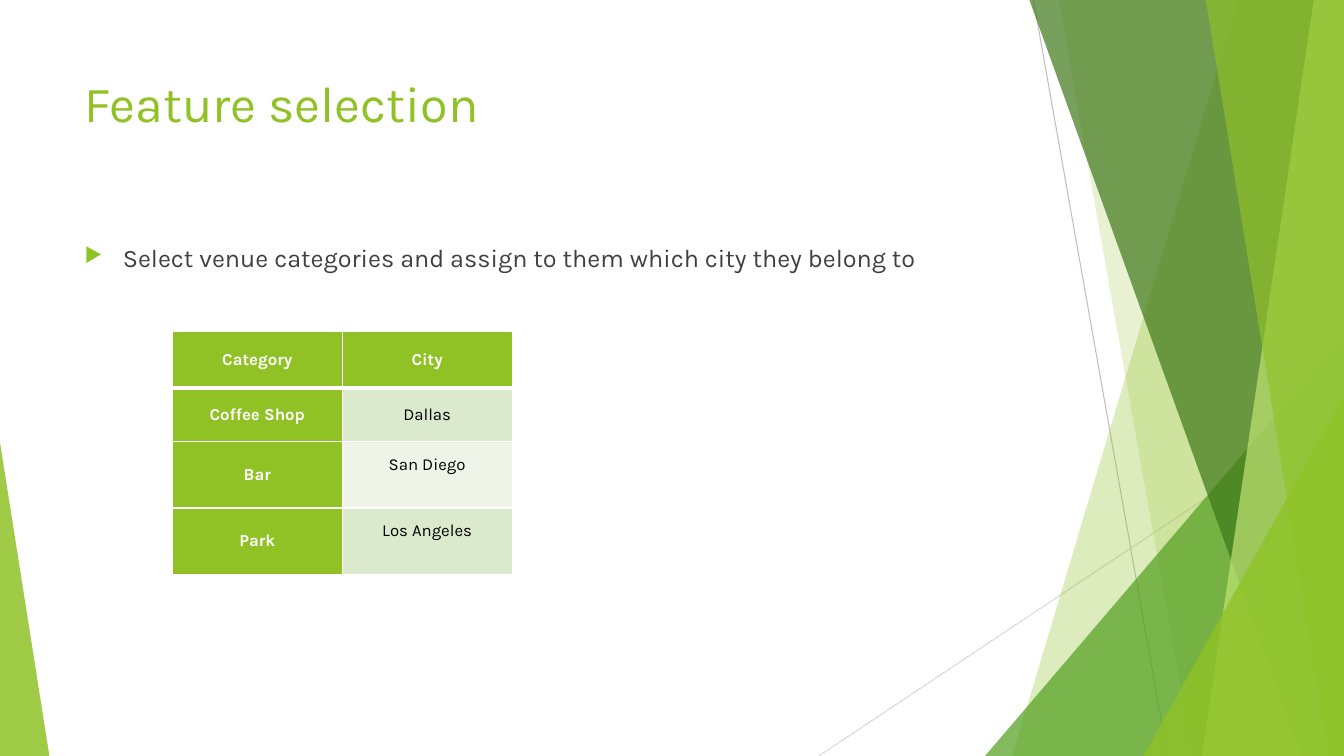
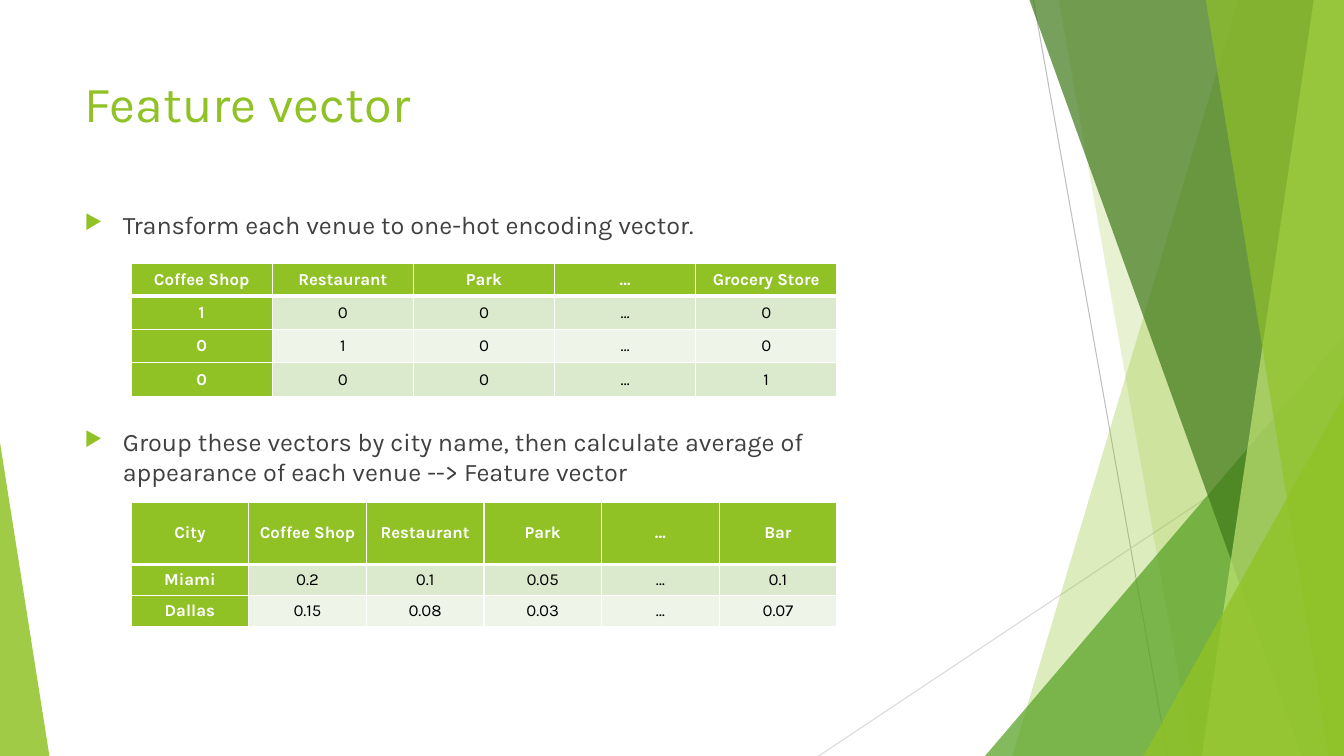
from dataclasses import dataclass

import lxml.etree
import pptx
import pptx.dml.color
import pptx.enum.shapes
import pptx.enum.text
import pptx.oxml.ns
import pptx.presentation
import pptx.shapes.autoshape
import pptx.slide
import pptx.table
import pptx.text.text
import pptx.util

Inches = pptx.util.Inches
Pt = pptx.util.Pt
qn = pptx.oxml.ns.qn

# Shared look
FONT = "Karla"
LIME = "90C226"
WHITE = "FFFFFF"
BLACK = "000000"
BODY_GREY = "404040"
ROW_TINTS = ("DBE9CD", "EEF4E8")
WIDTH, HEIGHT = 13.33, 7.5
TEXT_LEFT, TEXT_WIDTH = 0.74, 9.4
BULLET_INDENT = 0.38
LINE_OF_TABLE_TEXT = 0.2


@dataclass(frozen=True)
class Ray:
    start: tuple[float, float]
    end: tuple[float, float]
    color: str


@dataclass(frozen=True)
class Pane:
    """Four-sided band between the top and bottom edges of the slide."""
    top_left: float
    bottom_left: float
    bottom_right: float
    color: str
    opacity: int


@dataclass(frozen=True)
class Wedge:
    """Right-angled triangle standing on the bottom edge."""
    left: float
    top: float
    width: float
    apex: float
    color: str
    opacity: int


@dataclass(frozen=True)
class Bullet:
    text: str
    top: float
    width: float
    height: float


@dataclass(frozen=True)
class Grid:
    left: float
    top: float
    width: float
    row_heights: tuple[float, ...]
    rows: tuple[tuple[str, ...], ...]
    raised: tuple[str, ...] = ()  # entries set one half line above the middle


@dataclass(frozen=True)
class Page:
    title: str
    bullets: tuple[Bullet, ...]
    grids: tuple[Grid, ...]


# Decoration, from back to front
DECORATION = (
    Ray((10.25, 0), (11.58, HEIGHT), "BFBFBF"),
    Ray((WIDTH, 4.03), (8.12, HEIGHT), "D9D9D9"),
    Pane(12.28, 10.04, WIDTH, LIME, 30),
    Pane(10.5, 11.83, WIDTH, LIME, 20),
    Wedge(9.77, 3.33, 3.56, 1, "54A021", 72),
    Pane(10.21, 12.91, WIDTH, "3F7819", 70),
    Pane(13.03, 11.92, WIDTH, "C0E474", 70),
    Pane(11.96, 13.18, WIDTH, LIME, 65),
    Wedge(11.34, 3.93, 1.99, 1, LIME, 80),
    Wedge(0, 4.39, 0.49, 0, LIME, 85),
)

# Content
PAGES = (
    Page(
        "Feature selection",
        (Bullet("Select venue categories and assign to them which city they belong to",
                2.36, TEXT_WIDTH, 4.24),),
        (Grid(1.71, 3.29, 3.37, (0.56, 0.53, 0.66, 0.66), (
            ("Category", "City"),
            ("Coffee Shop", "Dallas"),
            ("Bar", "San Diego"),
            ("Park", "Los Angeles"),
        ), raised=("San Diego", "Los Angeles")),),
    ),
    Page(
        "Feature vector",
        (Bullet("Transform each venue to one-hot encoding vector.",
                2.03, TEXT_WIDTH, 1.98),
         Bullet("Group these vectors by city name, then calculate average of "
                "appearance of each venue --> Feature vector",
                4.18, 7.39, 2.76)),
        (Grid(1.3, 2.61, 7, (0.33,) * 4, (
            ("Coffee Shop", "Restaurant", "Park", "…", "Grocery Store"),
            ("1", "0", "0", "…", "0"),
            ("0", "1", "0", "…", "0"),
            ("0", "0", "0", "…", "1"),
        )),
         Grid(1.3, 4.98, 7, (0.62, 0.31, 0.31), (
             ("City", "Coffee Shop", "Restaurant", "Park", "…", "Bar"),
             ("Miami", "0.2", "0.1", "0.05", "…", "0.1"),
             ("Dallas", "0.15", "0.08", "0.03", "…", "0.07"),
         ))),
    ),
)


def rgb(color: str) -> pptx.dml.color.RGBColor:
    return pptx.dml.color.RGBColor.from_string(color)


def add_run(paragraph: pptx.text.text._Paragraph, text: str, size: float,
            color: str, bold: bool = False) -> None:
    run = paragraph.add_run()
    run.text = text
    run.font.name = FONT
    run.font.size = Pt(size)
    run.font.bold = bold
    run.font.color.rgb = rgb(color)


# Decoration
def paint(shape: pptx.shapes.autoshape.Shape, color: str, opacity: int) -> None:
    shape.shadow.inherit = False
    shape.fill.solid()
    shape.fill.fore_color.rgb = rgb(color)
    shape.line.fill.background()
    tone = shape.element.spPr.find(qn("a:solidFill")).find(qn("a:srgbClr"))
    lxml.etree.SubElement(tone, qn("a:alpha"), val=str(opacity * 1000))


def draw_ray(slide: pptx.slide.Slide, ray: Ray) -> None:
    ends = [Inches(value) for value in (*ray.start, *ray.end)]
    line = slide.shapes.add_connector(
        pptx.enum.shapes.MSO_CONNECTOR.STRAIGHT, *ends)
    line.line.color.rgb = rgb(ray.color)
    line.line.width = Pt(0.75)
    lxml.etree.SubElement(line.element.spPr, qn("a:effectLst"))


def draw_pane(slide: pptx.slide.Slide, pane: Pane) -> None:
    outline = slide.shapes.build_freeform(Inches(pane.top_left), 0)
    outline.add_line_segments([
        (Inches(WIDTH), 0),
        (Inches(WIDTH), Inches(HEIGHT)) if pane.bottom_right == WIDTH
        else (Inches(pane.bottom_right), Inches(HEIGHT)),
        (Inches(pane.bottom_left), Inches(HEIGHT)),
    ], close=True)
    paint(outline.convert_to_shape(), pane.color, pane.opacity)


def draw_wedge(slide: pptx.slide.Slide, wedge: Wedge) -> None:
    triangle = slide.shapes.add_shape(
        pptx.enum.shapes.MSO_SHAPE.ISOSCELES_TRIANGLE,
        Inches(wedge.left), Inches(wedge.top),
        Inches(wedge.width), Inches(HEIGHT - wedge.top))
    triangle.adjustments[0] = wedge.apex
    paint(triangle, wedge.color, wedge.opacity)


def draw_decoration(slide: pptx.slide.Slide) -> None:
    painters = {Ray: draw_ray, Pane: draw_pane, Wedge: draw_wedge}
    for part in DECORATION:
        painters[type(part)](slide, part)


# Title and bullets
def add_paragraph_box(slide: pptx.slide.Slide, top: float, width: float,
                      height: float) -> pptx.text.text._Paragraph:
    box = slide.shapes.add_textbox(
        Inches(TEXT_LEFT), Inches(top), Inches(width), Inches(height))
    box.text_frame.word_wrap = True
    return box.text_frame.paragraphs[0]


def draw_title(slide: pptx.slide.Slide, title: str) -> None:
    add_run(add_paragraph_box(slide, 0.67, TEXT_WIDTH, 1.44), title, 36, LIME)


def draw_bullet(slide: pptx.slide.Slide, bullet: Bullet) -> None:
    paragraph = add_paragraph_box(slide, bullet.top, bullet.width, bullet.height)
    paragraph.space_before = Pt(10)
    add_run(paragraph, bullet.text, 18, BODY_GREY)
    properties = paragraph._p.get_or_add_pPr()
    properties.set("marL", str(Inches(BULLET_INDENT)))
    properties.set("indent", str(-Inches(BULLET_INDENT)))
    marker_color = lxml.etree.SubElement(properties, qn("a:buClr"))
    lxml.etree.SubElement(marker_color, qn("a:srgbClr"), val=LIME)
    lxml.etree.SubElement(properties, qn("a:buSzPct"), val="80000")
    lxml.etree.SubElement(properties, qn("a:buChar"), char="▶")


# Tables
def set_borders(cell: pptx.table._Cell, row: int) -> None:
    properties = cell._tc.get_or_add_tcPr()
    widths = {"L": 1, "R": 1, "T": 3 if row == 1 else 1, "B": 3 if row == 0 else 1}
    for side, width in widths.items():
        border = lxml.etree.SubElement(
            properties, qn(f"a:ln{side}"), w=str(Pt(width)))
        fill = lxml.etree.SubElement(border, qn("a:solidFill"))
        lxml.etree.SubElement(fill, qn("a:srgbClr"), val=WHITE)


def draw_grid(slide: pptx.slide.Slide, grid: Grid) -> None:
    column_count = len(grid.rows[0])
    table = slide.shapes.add_table(
        len(grid.rows), column_count, Inches(grid.left), Inches(grid.top),
        Inches(grid.width), Inches(sum(grid.row_heights))).table
    for column in table.columns:
        column.width = Inches(grid.width / column_count)
    for r, (height, entries) in enumerate(zip(grid.row_heights, grid.rows)):
        table.rows[r].height = Inches(height)
        for c, entry in enumerate(entries):
            heading = r == 0 or c == 0
            cell = table.cell(r, c)
            set_borders(cell, r)
            cell.fill.solid()
            cell.fill.fore_color.rgb = rgb(LIME if heading else ROW_TINTS[(r - 1) % 2])
            cell.vertical_anchor = pptx.enum.text.MSO_ANCHOR.MIDDLE
            cell.margin_left = cell.margin_right = Inches(0.07)
            cell.margin_top = 0
            cell.margin_bottom = Inches(
                LINE_OF_TABLE_TEXT if entry in grid.raised else 0)
            paragraph = cell.text_frame.paragraphs[0]
            paragraph.alignment = pptx.enum.text.PP_ALIGN.CENTER
            add_run(paragraph, entry, 12, WHITE if heading else BLACK, heading)


def draw_page(deck: pptx.presentation.Presentation, page: Page) -> None:
    slide = deck.slides.add_slide(deck.slide_layouts[6])
    draw_decoration(slide)
    draw_title(slide, page.title)
    for bullet in page.bullets:
        draw_bullet(slide, bullet)
    for grid in page.grids:
        draw_grid(slide, grid)


def main() -> None:
    deck = pptx.Presentation()
    deck.slide_width = Inches(WIDTH)
    deck.slide_height = Inches(HEIGHT)
    for page in PAGES:
        draw_page(deck, page)
    deck.save("out.pptx")


if __name__ == "__main__":
    main()
